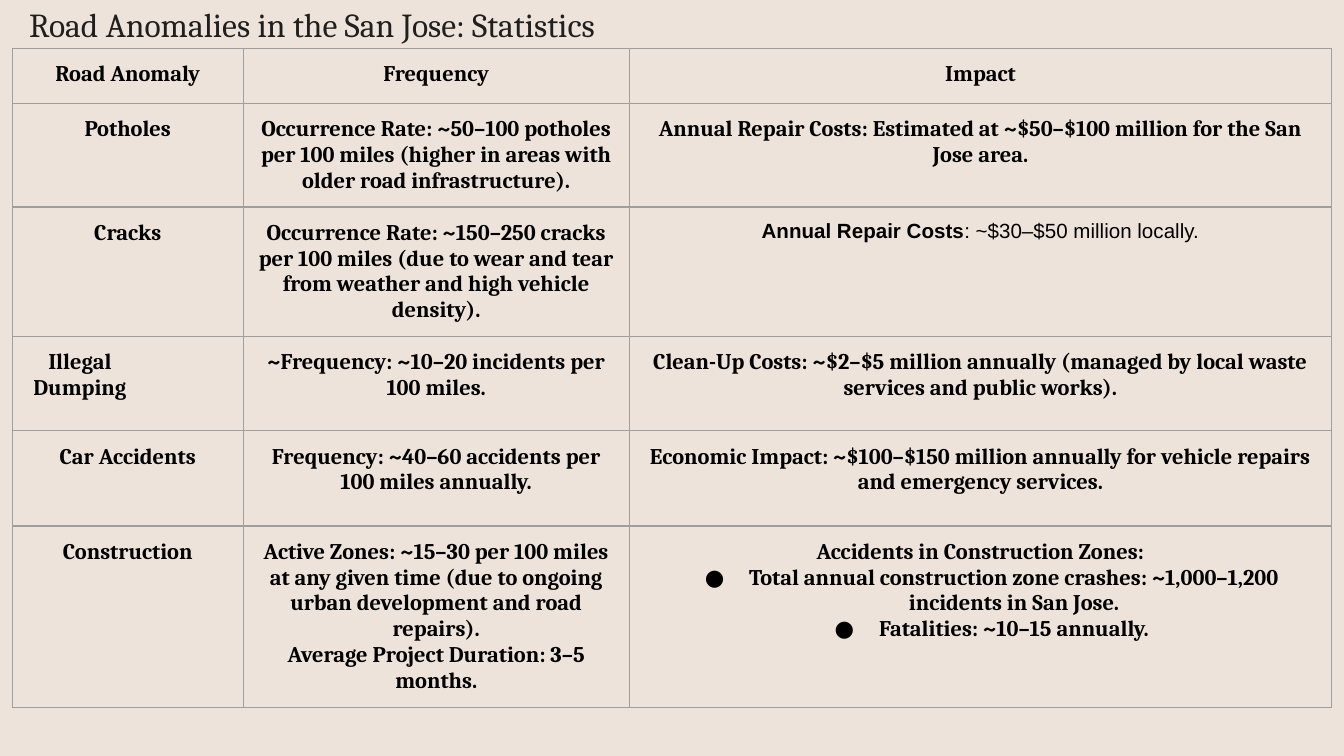
from lxml.etree import SubElement
from pptx import Presentation
from pptx.dml.color import RGBColor
from pptx.enum.text import PP_ALIGN
from pptx.oxml.ns import qn
from pptx.util import Cm, Pt

COLORS = {"background": "EDE3DA", "title": "1F1F1F", "text": "000000", "border": "9E9E9E"}
INSET = 0.25
COLUMN_WIDTHS = [4.37, 7.29, 13.28]
ROW_HEIGHTS = [1.04, 1.8, 1.8, 1.78, 1.8, 3.43]
CRACK_COSTS = [
    ("Annual Repair Costs", {"size": 11, "font": "Arial"}),
    (": ~$30–$50 million locally.", {"size": 11, "font": "Arial", "bold": False}),
]
ROWS = [
    ["Road Anomaly", "Frequency", "Impact"],
    ["Potholes",
     "Occurrence Rate: ~50–100 potholes per 100 miles (higher in areas with older road infrastructure).",
     "Annual Repair Costs: Estimated at ~$50–$100 million for the San Jose area."],
    ["Cracks",
     "Occurrence Rate: ~150–250 cracks per 100 miles (due to wear and tear from weather and high vehicle density).",
     [CRACK_COSTS]],
    ["Illegal Dumping",
     "~Frequency: ~10–20 incidents per 100 miles.",
     "Clean-Up Costs: ~$2–$5 million annually (managed by local waste services and public works)."],
    ["Car Accidents",
     "Frequency: ~40–60 accidents per 100 miles annually.",
     "Economic Impact: ~$100–$150 million annually for vehicle repairs and emergency services."],
    ["Construction",
     ["Active Zones: ~15–30 per 100 miles at any given time (due to ongoing urban development and road repairs).",
      "Average Project Duration: 3–5 months."],
     ["Accidents in Construction Zones:",
      "● Total annual construction zone crashes: ~1,000–1,200 incidents in San Jose.",
      "● Fatalities: ~10–15 annually."]],
]


def write_run(paragraph, text, size=12, font="Cambria", color="text", bold=True):
    run = paragraph.add_run()
    run.text = text
    run.font.size = Pt(size)
    run.font.name = font
    run.font.bold = bold
    run.font.color.rgb = RGBColor.from_string(COLORS[color])


class SlideBuilder:
    def __init__(self, slide):
        self.slide = slide
        slide.background.fill.solid()
        slide.background.fill.fore_color.rgb = RGBColor.from_string(COLORS["background"])

    def title(self, text, left, top, width, height):
        shape = self.slide.shapes.add_textbox(Cm(left), Cm(top), Cm(width), Cm(height))
        frame = shape.text_frame
        frame.word_wrap = True
        frame.margin_left = frame.margin_right = Cm(INSET)
        frame.margin_top = frame.margin_bottom = Cm(INSET)
        write_run(frame.paragraphs[0], text, size=18, color="title", bold=False)

    def table(self, rows, left, top):
        table = self.slide.shapes.add_table(
            len(rows), len(COLUMN_WIDTHS), Cm(left), Cm(top),
            Cm(sum(COLUMN_WIDTHS)), Cm(sum(ROW_HEIGHTS))).table
        table.first_row = table.horz_banding = False
        for column, width in zip(table.columns, COLUMN_WIDTHS):
            column.width = Cm(width)
        for row, height, contents in zip(table.rows, ROW_HEIGHTS, rows):
            row.height = Cm(height)
            for cell, content in zip(row.cells, contents):
                self.cell(cell, content)
        return table

    def cell(self, cell, content):
        cell.margin_left = cell.margin_right = Cm(INSET)
        cell.margin_top = cell.margin_bottom = Cm(INSET)
        self.borders(cell)
        cell.fill.background()
        frame = cell.text_frame
        for index, item in enumerate([content] if isinstance(content, str) else content):
            paragraph = frame.add_paragraph() if index else frame.paragraphs[0]
            paragraph.alignment = PP_ALIGN.CENTER
            if isinstance(item, str):
                if item.startswith("● "):
                    self.bullet(paragraph)
                item = [(item.removeprefix("● "), {})]
            for text, style in item:
                write_run(paragraph, text, **style)

    def borders(self, cell):
        properties = cell._tc.get_or_add_tcPr()
        for side in ("a:lnL", "a:lnR", "a:lnT", "a:lnB"):
            line = SubElement(properties, qn(side), w=str(Pt(0.75)))
            fill = SubElement(line, qn("a:solidFill"))
            SubElement(fill, qn("a:srgbClr"), val=COLORS["border"])

    def bullet(self, paragraph):
        properties = paragraph._p.get_or_add_pPr()
        properties.set("marL", str(Cm(1.27)))
        properties.set("indent", str(Cm(-0.84)))
        color = SubElement(properties, qn("a:buClr"))
        SubElement(color, qn("a:srgbClr"), val=COLORS["text"])
        SubElement(properties, qn("a:buFont"), typeface="Cambria")
        SubElement(properties, qn("a:buChar"), char="●")


def main():
    presentation = Presentation()
    presentation.slide_width = Cm(25.4)
    presentation.slide_height = Cm(14.29)
    builder = SlideBuilder(presentation.slides.add_slide(presentation.slide_layouts[6]))
    table = builder.table(ROWS, 0.23, 0.91)
    table.cell(3, 0).margin_right = Cm(2.06)
    builder.title("Road Anomalies in the San Jose: Statistics", 0.3, -0.18, 22.4, 1.09)
    presentation.save("out.pptx")


if __name__ == "__main__":
    main()
